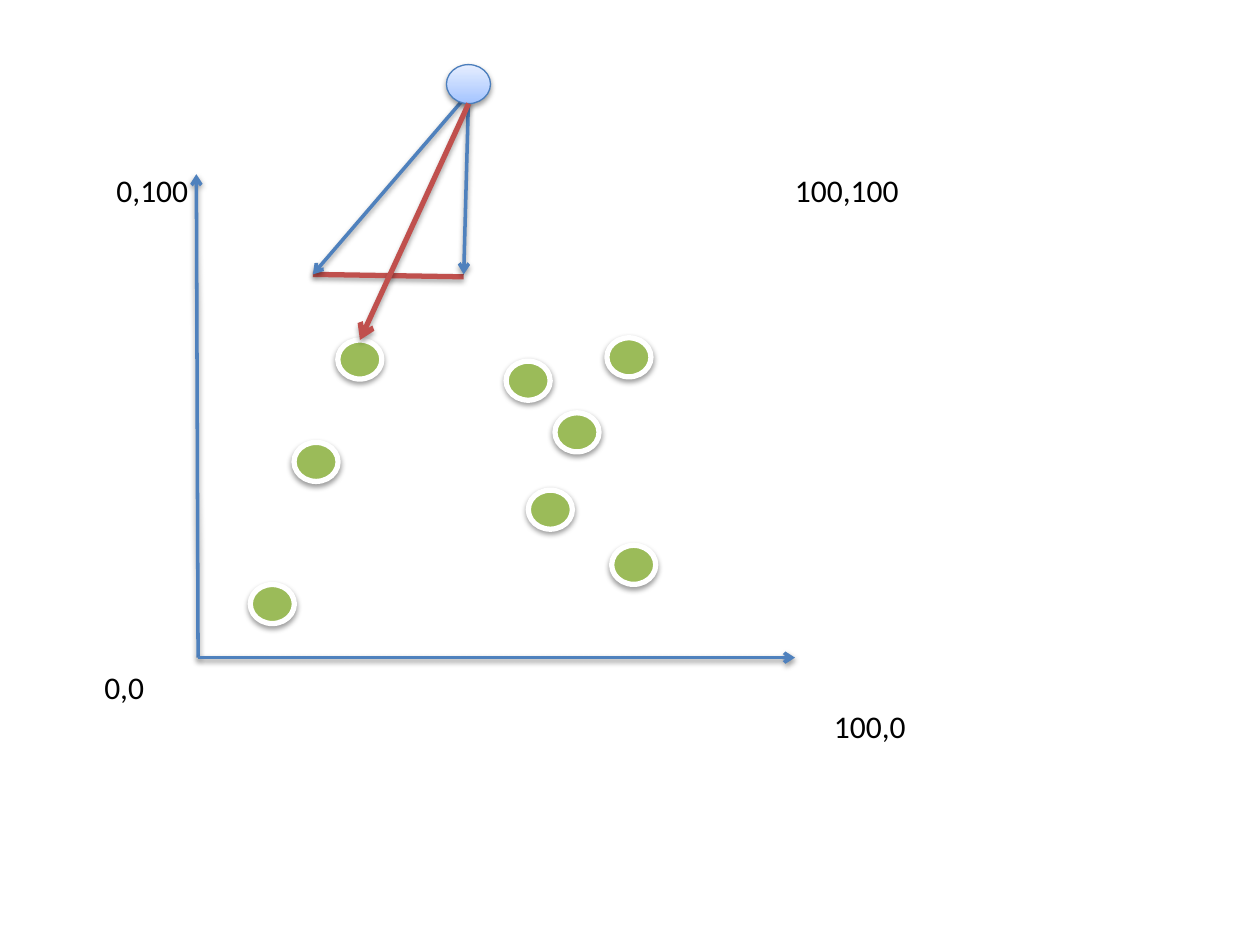
from lxml.etree import SubElement
from pptx import Presentation
from pptx.dml.color import RGBColor
from pptx.enum.shapes import MSO_CONNECTOR, MSO_SHAPE
from pptx.enum.text import MSO_AUTO_SIZE
from pptx.oxml.ns import qn
from pptx.util import Pt

COLORS = {
    "blue": "4F81BD", "red": "C0504D", "green": "9BBB59",
    "white": "FFFFFF", "black": "000000", "outline": "4B7EBC",
    "gradient_bottom": "A4C4FF", "gradient_top": "E6EEFF",
}


def color(name):
    return RGBColor.from_string(COLORS[name])


class Diagram:
    font_name = "Calibri"
    font_size = 18
    circle_size = (25.2, 22.3)

    def __init__(self, slide):
        self.slide = slide

    def add_shadow(self, shape, distance=1.6, opacity=38):
        effects = SubElement(shape._element.spPr, qn("a:effectLst"))
        shadow = SubElement(
            effects, qn("a:outerShdw"), blurRad=str(Pt(3.1)),
            dist=str(Pt(distance)), dir="5400000", rotWithShape="0")
        shade = SubElement(shadow, qn("a:srgbClr"), val=COLORS["black"])
        SubElement(shade, qn("a:alpha"), val=str(opacity * 1000))

    def line(self, start, end, color_name="blue", width=2, arrow=True):
        connector = self.slide.shapes.add_connector(
            MSO_CONNECTOR.STRAIGHT, *map(Pt, start + end))
        connector.line.color.rgb = color(color_name)
        connector.line.width = Pt(width)
        if arrow:
            SubElement(connector.line._get_or_add_ln(), qn("a:tailEnd"), type="arrow")
        if color_name == "red":
            self.add_shadow(connector, distance=1.8, opacity=35)
        else:
            self.add_shadow(connector)

    def circle(self, left, top, line_color, line_width):
        shape = self.slide.shapes.add_shape(
            MSO_SHAPE.OVAL, *map(Pt, (left, top) + self.circle_size))
        shape.line.color.rgb = color(line_color)
        shape.line.width = Pt(line_width)
        return shape

    def target(self, left, top):
        shape = self.circle(left, top, "white", 3)
        shape.fill.solid()
        shape.fill.fore_color.rgb = color("green")
        self.add_shadow(shape)

    def viewer(self, left, top):
        shape = self.circle(left, top, "outline", 0.75)
        shape.fill.gradient()
        shape.fill.gradient_angle = 90
        stops = shape.fill.gradient_stops
        for stop, position, name in zip(
                stops, (0, 1), ("gradient_bottom", "gradient_top")):
            stop.position = position
            stop.color.rgb = color(name)
        self.add_shadow(shape)

    def label(self, text, left, top, width):
        box = self.slide.shapes.add_textbox(Pt(left), Pt(top), Pt(width), Pt(29))
        frame = box.text_frame
        frame.word_wrap = False
        frame.auto_size = MSO_AUTO_SIZE.SHAPE_TO_FIT_TEXT
        paragraph = frame.paragraphs[0]
        paragraph.text = text
        paragraph.font.name = self.font_name
        paragraph.font.size = Pt(self.font_size)
        paragraph.font.color.rgb = color("black")


def main():
    presentation = Presentation()
    presentation.slide_width, presentation.slide_height = Pt(720), Pt(540)
    slide = presentation.slides.add_slide(presentation.slide_layouts[6])
    diagram = Diagram(slide)

    # Axes
    origin = (113.2, 375.8)
    for axis_end in ((112.2, 99.5), (454.3, 375.8)):
        diagram.line(origin, axis_end)

    # Corner coordinates
    for text, left, top, width in (
            ("0,0", 52.5, 378.2, 37.5), ("0,100", 59.5, 94.3, 56),
            ("100,0", 469.5, 400.5, 56), ("100,100", 447.2, 94.3, 74)):
        diagram.label(text, left, top, width)

    # Targets
    for left, top in (
            (193, 194.3), (168, 252.8), (143, 334), (289.2, 206.4),
            (346.8, 193), (301.9, 280.1), (317.1, 235.9), (349.5, 311.6)):
        diagram.target(left, top)

    # View plane and the edges of the view
    plane_left, plane_right = (178.8, 156.8), (265, 158.2)
    diagram.line(plane_left, plane_right, "red", 3, arrow=False)
    for corner in (plane_left, (265, 156.8)):
        diagram.line((267.8, 53.3), corner)

    # Viewer and its ray to the nearest target
    diagram.viewer(255.1, 36.9)
    diagram.line((267.8, 59.2), (205.7, 194.3), "red", 3)

    presentation.save("out.pptx")


if __name__ == "__main__":
    main()
